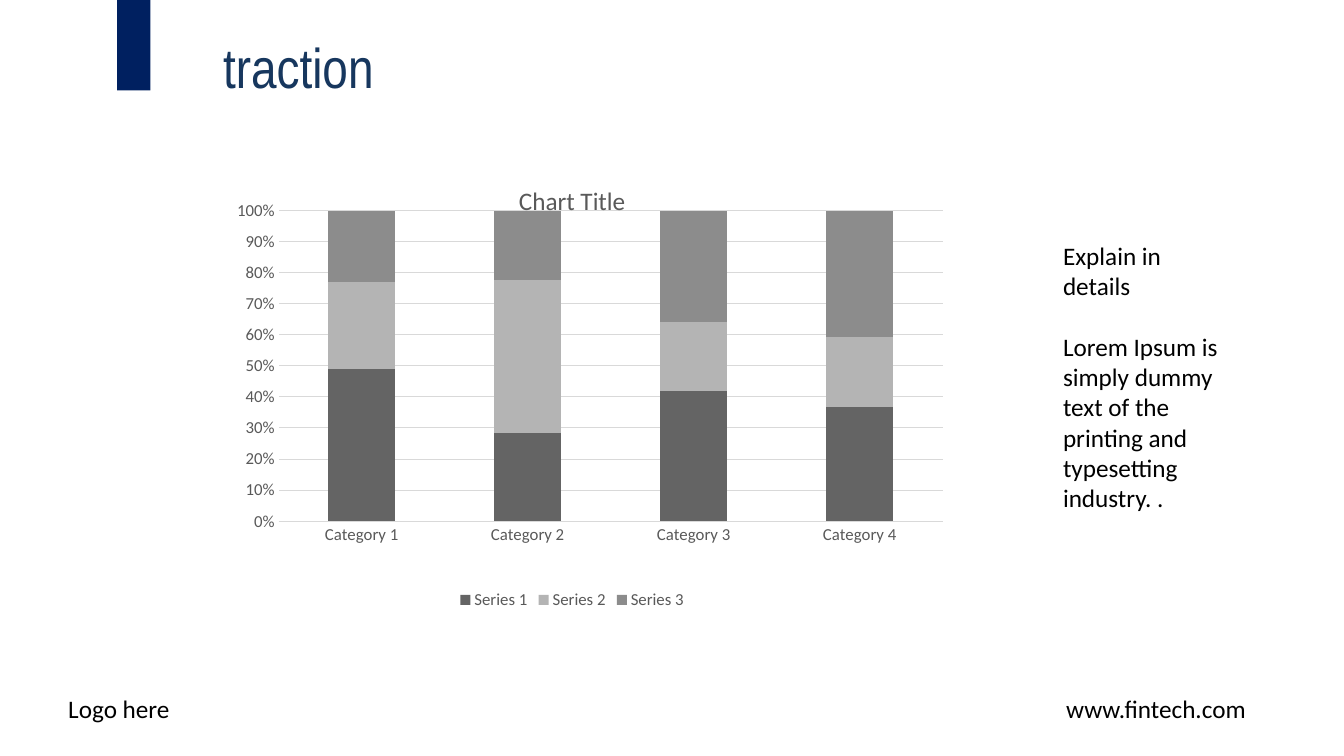
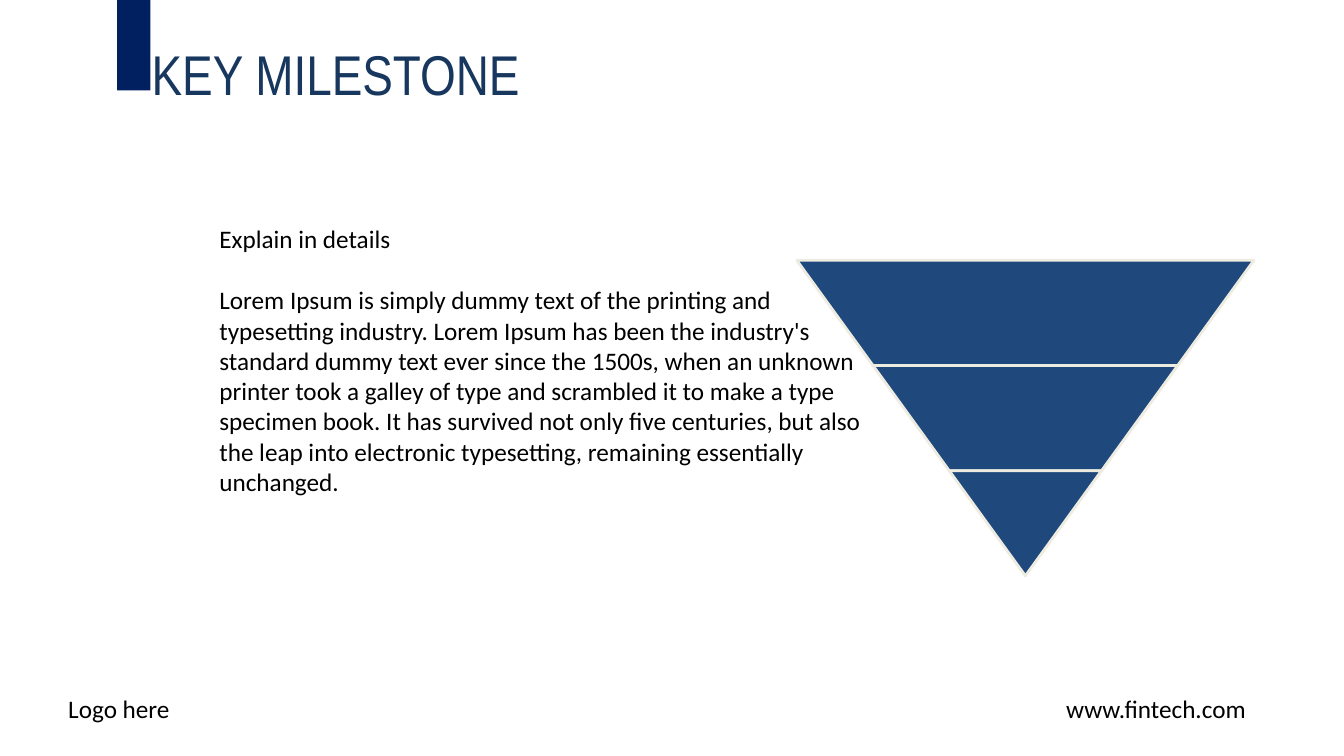
from lxml import etree
from pptx import Presentation
from pptx.chart.data import CategoryChartData
from pptx.dml.color import RGBColor
from pptx.enum.chart import XL_CHART_TYPE, XL_LEGEND_POSITION, XL_TICK_MARK
from pptx.enum.shapes import MSO_SHAPE
from pptx.enum.text import MSO_ANCHOR, PP_ALIGN
from pptx.oxml.ns import qn
from pptx.util import Cm, Pt

NAVY = RGBColor(0x00, 0x20, 0x60)
TITLE_BLUE = RGBColor(0x17, 0x37, 0x5E)
FUNNEL_BLUE = RGBColor(0x1F, 0x49, 0x7D)
CREAM = RGBColor(0xEE, 0xEC, 0xE1)
BLACK = RGBColor(0x00, 0x00, 0x00)
CHART_TEXT = RGBColor(0x59, 0x59, 0x59)
GRID = RGBColor(0xD9, 0xD9, 0xD9)
SERIES = [
    ("Series 1", (49, 28, 42, 37), RGBColor(0x64, 0x64, 0x64)),
    ("Series 2", (28, 49, 22, 23), RGBColor(0xB4, 0xB4, 0xB4)),
    ("Series 3", (23, 22, 36, 41), RGBColor(0x8C, 0x8C, 0x8C)),
]

prs = Presentation()
prs.slide_width, prs.slide_height = Cm(33.87), Cm(19.05)


def add_text(s, left, top, width, height, paragraphs, wrap=True):
    tf = s.shapes.add_textbox(Cm(left), Cm(top), Cm(width), Cm(height)).text_frame
    tf.word_wrap = wrap
    tf.text = "\n".join(paragraphs)
    for p in tf.paragraphs:
        p.font.name, p.font.size = "Calibri", Pt(18)
        p.font.color.rgb = BLACK
    for p in tf.paragraphs[:-1]:
        p.space_after = Pt(22)


def add_slide(title, left, top, width):
    s = prs.slides.add_slide(prs.slide_layouts[5])  # title only

    # Title
    sp = s.shapes.title
    sp.left, sp.top, sp.width, sp.height = Cm(left), Cm(top), Cm(width), Cm(2.41)
    tf = sp.text_frame
    tf.text = title
    tf.vertical_anchor = MSO_ANCHOR.MIDDLE
    p = tf.paragraphs[0]
    p.alignment = PP_ALIGN.CENTER
    r = p.runs[0]
    r.font.name, r.font.size = "Arial Narrow", Pt(40)
    r.font.color.rgb = TITLE_BLUE

    # Footer and top bar
    add_text(s, 26.62, 17.35, 5.08, 1.02, ["www.fintech.com"], wrap=False)
    add_text(s, 1.47, 17.35, 3.1, 1.02, ["Logo here"], wrap=False)
    bar = s.shapes.add_shape(MSO_SHAPE.RECTANGLE, Cm(2.95), 0, Cm(0.84), Cm(2.28))
    bar.shadow.inherit = False
    bar.fill.solid()
    bar.fill.fore_color.rgb = NAVY
    bar.line.fill.background()
    return s


# Slide 1: traction
s = add_slide("traction", 2.54, 0.46, 9.96)
add_text(s, 26.54, 5.92, 4.52, 7.19, [
    "Explain in details",
    "Lorem Ipsum is simply dummy text of the printing and typesetting industry. .",
])

data = CategoryChartData()
data.categories = [f"Category {n}" for n in range(1, 5)]
for name, values, _ in SERIES:
    data.add_series(name, values)
chart = s.shapes.add_chart(XL_CHART_TYPE.COLUMN_STACKED_100, Cm(5.08), Cm(4.14),
                           Cm(18.69), Cm(11.33), data).chart
chart.font.name, chart.font.size = "Calibri", Pt(12)
chart.font.color.rgb = CHART_TEXT

chart.has_title = True
tf = chart.chart_title.text_frame
tf.text = "Chart Title"
r = tf.paragraphs[0].runs[0]
r.font.name, r.font.size, r.font.bold = "Calibri", Pt(18), False
r.font.color.rgb = CHART_TEXT

chart.has_legend = True
chart.legend.position = XL_LEGEND_POSITION.BOTTOM
chart.legend.include_in_layout = False

plot = chart.plots[0]
plot.gap_width, plot.overlap = 150, 100
plot.vary_by_categories = False
for series, (_, _, color) in zip(plot.series, SERIES):
    series.format.fill.solid()
    series.format.fill.fore_color.rgb = color

# Axes
for axis in (chart.category_axis, chart.value_axis):
    axis.major_tick_mark = axis.minor_tick_mark = XL_TICK_MARK.NONE
chart.value_axis.format.line.fill.background()
chart.value_axis.tick_labels.number_format = "0%"
chart.value_axis.tick_labels.number_format_is_linked = False
for line in (chart.category_axis.format.line,
             chart.value_axis.major_gridlines.format.line):
    line.color.rgb, line.width = GRID, Pt(0.75)

# Fixed position of the plot area
plot_area = chart.element.find(f".//{qn('c:plotArea')}")
for old in plot_area.findall(qn("c:layout")):
    plot_area.remove(old)
layout = etree.Element(qn("c:layout"))
manual = etree.SubElement(layout, qn("c:manualLayout"))
for tag, value in (("layoutTarget", "inner"), ("xMode", "edge"), ("yMode", "edge"),
                   ("x", "0.104"), ("y", "0.103"), ("w", "0.896"), ("h", "0.691")):
    etree.SubElement(manual, qn(f"c:{tag}")).set("val", value)
plot_area.insert(0, layout)

# Slide 2: key milestone
s = add_slide("KEY MILESTONE", 0.84, 0.64, 15.24)
add_text(s, 5.28, 5.51, 16.92, 7.19, [
    "Explain in details",
    "Lorem Ipsum is simply dummy text of the printing and typesetting industry. "
    "Lorem Ipsum has been the industry's standard dummy text ever since the 1500s, "
    "when an unknown printer took a galley of type and scrambled it to make a type "
    "specimen book. It has survived not only five centuries, but also the leap into "
    "electronic typesetting, remaining essentially unchanged.",
])

# Funnel: each level is one unit narrower than the one above
CENTER, TOP, UNIT, LEVEL_HEIGHT, LEVELS = 25.84, 6.56, 3.84, 2.65, 3
funnel = s.shapes.add_group_shape()
for level in range(LEVELS):
    width = UNIT * (LEVELS - level)
    sp = funnel.shapes.add_shape(
        MSO_SHAPE.TRAPEZOID, Cm(CENTER - width / 2), Cm(TOP + level * LEVEL_HEIGHT),
        Cm(width), Cm(LEVEL_HEIGHT))
    sp.rotation = 180
    sp.adjustments[0] = UNIT / 2 / LEVEL_HEIGHT
    sp.shadow.inherit = False
    sp.fill.solid()
    sp.fill.fore_color.rgb = FUNNEL_BLUE
    sp.line.color.rgb, sp.line.width = CREAM, Pt(2)

prs.save("out.pptx")
